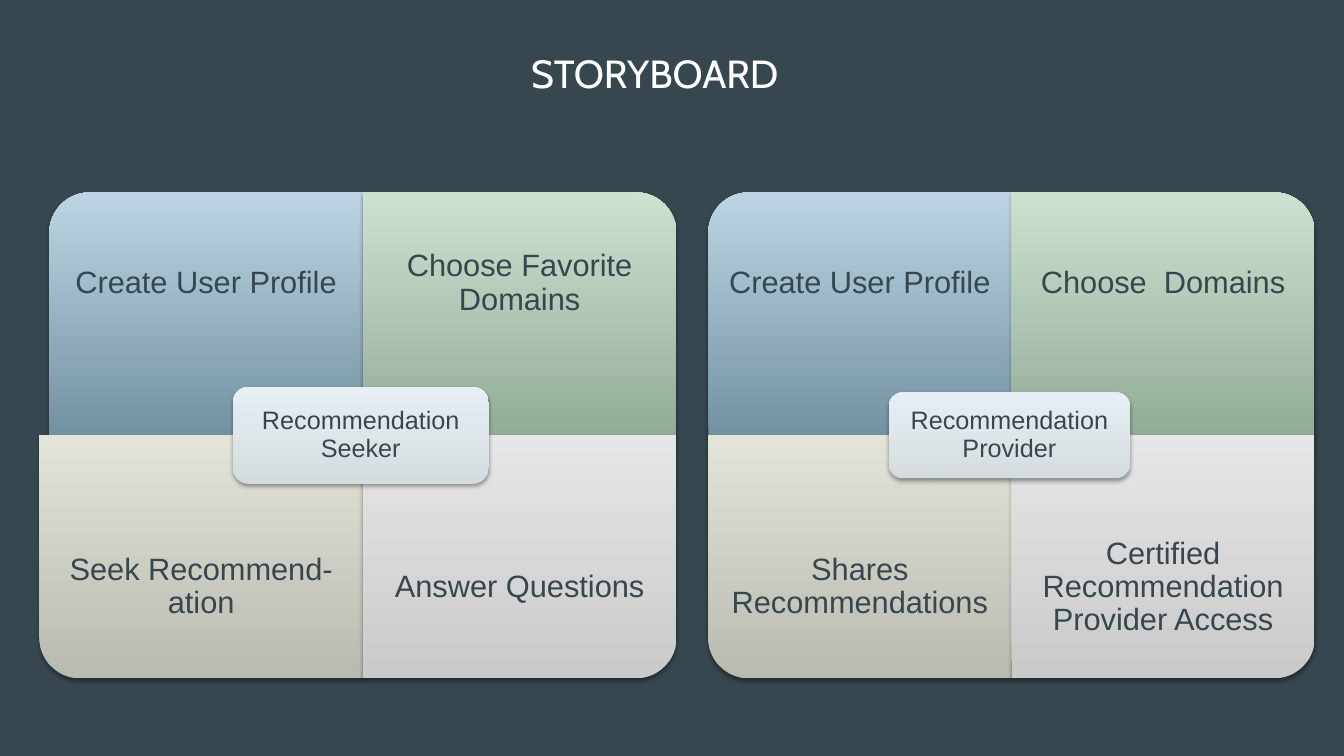
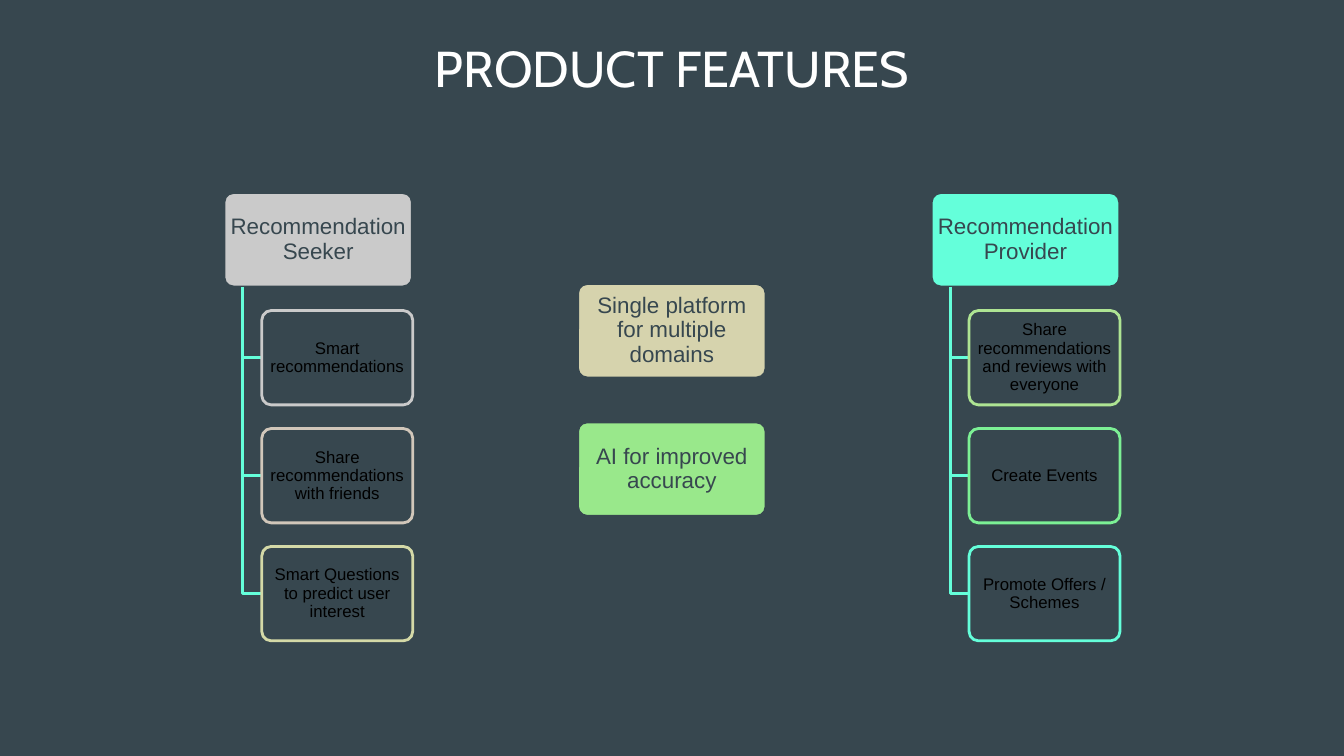
from lxml import etree
from pptx import Presentation
from pptx.dml.color import RGBColor
from pptx.enum.shapes import MSO_SHAPE
from pptx.enum.text import MSO_ANCHOR, PP_ALIGN
from pptx.oxml.ns import qn
from pptx.util import Pt

ROUND_ONE = MSO_SHAPE.ROUND_1_RECTANGLE
ROUND_ALL = MSO_SHAPE.ROUNDED_RECTANGLE
CENTER = PP_ALIGN.CENTER
MIDDLE = MSO_ANCHOR.MIDDLE

SLATE = RGBColor(0x37, 0x47, 0x4F)
WHITE = RGBColor(0xFF, 0xFF, 0xFF)
BLACK = RGBColor(0x00, 0x00, 0x00)
GRAY = RGBColor(0xCA, 0xCA, 0xCA)
TAUPE = RGBColor(0xD1, 0xC7, 0xBA)
SAND = RGBColor(0xD6, 0xD3, 0xAD)
KHAKI = RGBColor(0xD4, 0xD9, 0xA7)
LIME = RGBColor(0xAE, 0xE4, 0x93)
GREEN = RGBColor(0x99, 0xE8, 0x8B)
MINT = RGBColor(0x7C, 0xF0, 0x95)
AQUA = RGBColor(0x64, 0xFF, 0xDA)

# Gradients run from the bottom colour to the top colour.
BLUE_FADE = (RGBColor(0x73, 0x92, 0xA1), RGBColor(0xBD, 0xD5, 0xE2))
GREEN_FADE = (RGBColor(0x93, 0xAC, 0x98), RGBColor(0xCB, 0xE2, 0xD0))
BEIGE_FADE = (RGBColor(0xB9, 0xBA, 0xB0), RGBColor(0xE2, 0xE3, 0xD9))
GRAY_FADE = (GRAY, RGBColor(0xE6, 0xE6, 0xE6))
CENTER_FADE = (RGBColor(0xD5, 0xDC, 0xDF), RGBColor(0xE7, 0xEF, 0xF4))

TITLE_FONT = "Cabin"
BODY_FONT = "Arial"


class Deck:
    def __init__(self):
        self.presentation = Presentation()
        self.presentation.slide_width = Pt(960)
        self.presentation.slide_height = Pt(540)
        self.slide = None

    def add_slide(self):
        layout = self.presentation.slide_layouts[6]
        self.slide = self.presentation.slides.add_slide(layout)
        fill = self.slide.background.fill
        fill.solid()
        fill.fore_color.rgb = SLATE

    def set_text(self, shape, text, size, color=SLATE, font=BODY_FONT, inset=0.0):
        frame = shape.text_frame
        frame.word_wrap = True
        frame.vertical_anchor = MIDDLE
        frame.margin_left = frame.margin_right = Pt(inset)
        frame.margin_top = frame.margin_bottom = Pt(inset)
        paragraph = frame.paragraphs[0]
        paragraph.alignment = CENTER
        paragraph.line_spacing = 0.9
        run = paragraph.add_run()
        run.text = text
        run.font.size = Pt(size)
        run.font.name = font
        run.font.color.rgb = color

    def text(self, box, text, size, **style):
        shape = self.slide.shapes.add_textbox(*map(Pt, box))
        self.set_text(shape, text, size, **style)

    def title(self, box, text, size):
        self.text(box, text, size, color=WHITE, font=TITLE_FONT)

    def fade_shape(self, kind, box, fade, rotation=0):
        """Shadowed shape with an upright gradient; box is its place after rotation."""
        left, top, width, height = box
        if rotation in (90, 270):
            left += (width - height) / 2
            top += (height - width) / 2
            width, height = height, width
        shape = self.slide.shapes.add_shape(kind, Pt(left), Pt(top), Pt(width), Pt(height))
        shape.rotation = rotation
        shape.line.fill.background()
        shape.fill.gradient()
        shape.fill.gradient_angle = 90
        for stop, color, position in zip(shape.fill.gradient_stops, fade, (0, 1)):
            stop.color.rgb = color
            stop.position = position
        properties = shape._element.spPr
        properties.find(qn("a:gradFill")).set("rotWithShape", "0")
        shape.shadow.inherit = False
        shadow = etree.SubElement(
            properties.find(qn("a:effectLst")), qn("a:outerShdw"),
            blurRad=str(Pt(3.1)), dist=str(Pt(1.8)), dir="5400000", rotWithShape="0")
        color = etree.SubElement(shadow, qn("a:srgbClr"), val="000000")
        etree.SubElement(color, qn("a:alpha"), val="35000")
        return shape

    def matrix(self, center_x, widths, center_size, labels, center_label):
        """Four quadrants around a centre label; widths are top left, top right,
        bottom left and bottom right."""
        center_y, height, text_height = 311, 173.6, 130.2
        fades = (BLUE_FADE, GREEN_FADE, BEIGE_FADE, GRAY_FADE)
        rotations = (270, 0, 180, 90)
        for index, (label, width) in enumerate(zip(labels, widths)):
            row, column = divmod(index, 2)
            left = center_x if column else center_x - width
            top = center_y if row else center_y - height
            self.fade_shape(ROUND_ONE, (left, top, width, height),
                            fades[index], rotations[index])
            text_top = top + row * (height - text_height)
            self.text((left, text_top, width, text_height), label, 22, inset=12)
        width, height = center_size
        box = (center_x - width / 2 - 1.5, center_y - height / 2, width, height)
        self.set_text(self.fade_shape(ROUND_ALL, box, CENTER_FADE), center_label, 18, inset=5)

    def card(self, box, label, size, fill, line, color=SLATE):
        shape = self.slide.shapes.add_shape(ROUND_ALL, *map(Pt, box))
        shape.adjustments[0] = 0.1
        shape.shadow.inherit = False
        shape.fill.solid()
        shape.fill.fore_color.rgb = fill
        shape.line.color.rgb = line
        shape.line.width = Pt(2)
        self.set_text(shape, label, size, color=color, inset=1.5)

    def elbow(self, start_x, start_y, end_x, end_y):
        builder = self.slide.shapes.build_freeform(Pt(start_x), Pt(start_y))
        builder.add_line_segments(
            [(Pt(start_x), Pt(end_y)), (Pt(end_x), Pt(end_y))], close=False)
        shape = builder.convert_to_shape()
        shape.shadow.inherit = False
        shape.fill.background()
        shape.line.color.rgb = AQUA
        shape.line.width = Pt(2)

    def feature(self, left, top, label, fill):
        self.card((left, top, 134.6, 67.4), label, 16, fill, SLATE)

    def feature_tree(self, left, top, label, fill, children):
        height, pitch = 67.4, 84.25
        self.feature(left, top, label, fill)
        for level, (child, line) in enumerate(children, start=1):
            child_left, child_top = left + 27, top + level * pitch
            self.elbow(left + 13.5, top + height, child_left, child_top + height / 2)
            self.card((child_left, child_top, 107.8, height), child, 12,
                      SLATE, line, BLACK)


def build_storyboard(deck):
    deck.add_slide()
    deck.title((252.7, 34, 430, 41), "STORYBOARD", 28)
    deck.matrix(259.2, (224, 224, 231, 224), (183, 69.4),
                ("Create User Profile", "Choose Favorite Domains",
                 "Seek Recommend-ation", "Answer Questions"),
                "Recommendation Seeker")
    deck.matrix(722.5, (216.6,) * 4, (172.6, 61.4),
                ("Create User Profile", "Choose  Domains",
                 "Shares Recommendations", "Certified Recommendation Provider Access"),
                "Recommendation Provider")


def build_features(deck):
    deck.add_slide()
    deck.title((175.7, 4, 608.6, 94), "PRODUCT FEATURES", 36)
    left, middle, right = (160 + column * 252.6 for column in range(3))
    deck.feature_tree(left, 137.6, "Recommendation Seeker", GRAY, (
        ("Smart recommendations", GRAY),
        ("Share recommendations with friends", TAUPE),
        ("Smart Questions to predict user interest", KHAKI)))
    deck.feature(middle, 202.6, "Single platform for multiple domains", SAND)
    deck.feature(middle, 301.4, "AI for improved accuracy", GREEN)
    deck.feature_tree(right, 137.6, "Recommendation Provider", AQUA, (
        ("Share recommendations and reviews with everyone", LIME),
        ("Create Events", MINT),
        ("Promote Offers / Schemes", AQUA)))


def main():
    deck = Deck()
    build_storyboard(deck)
    build_features(deck)
    deck.presentation.save("out.pptx")


if __name__ == "__main__":
    main()
